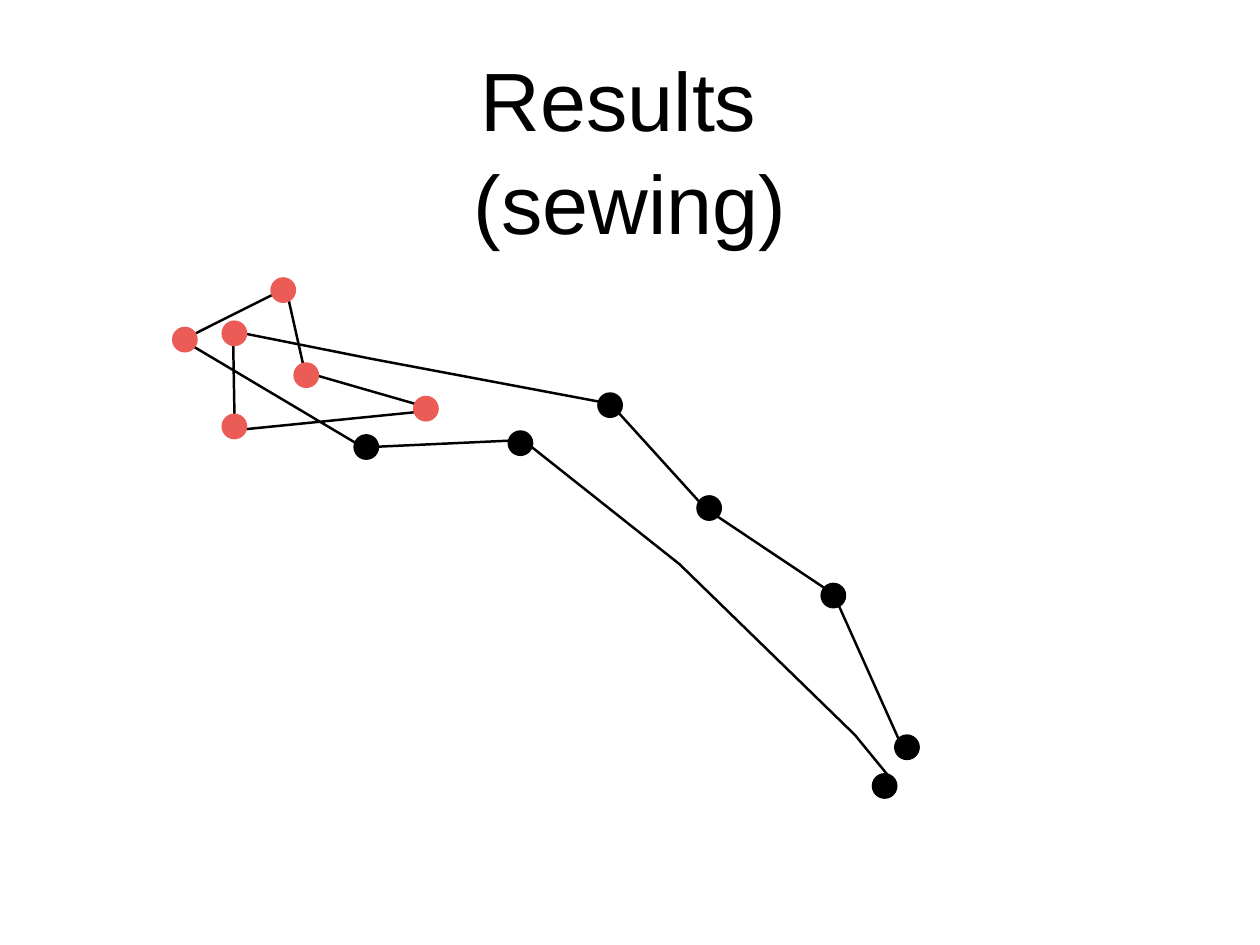
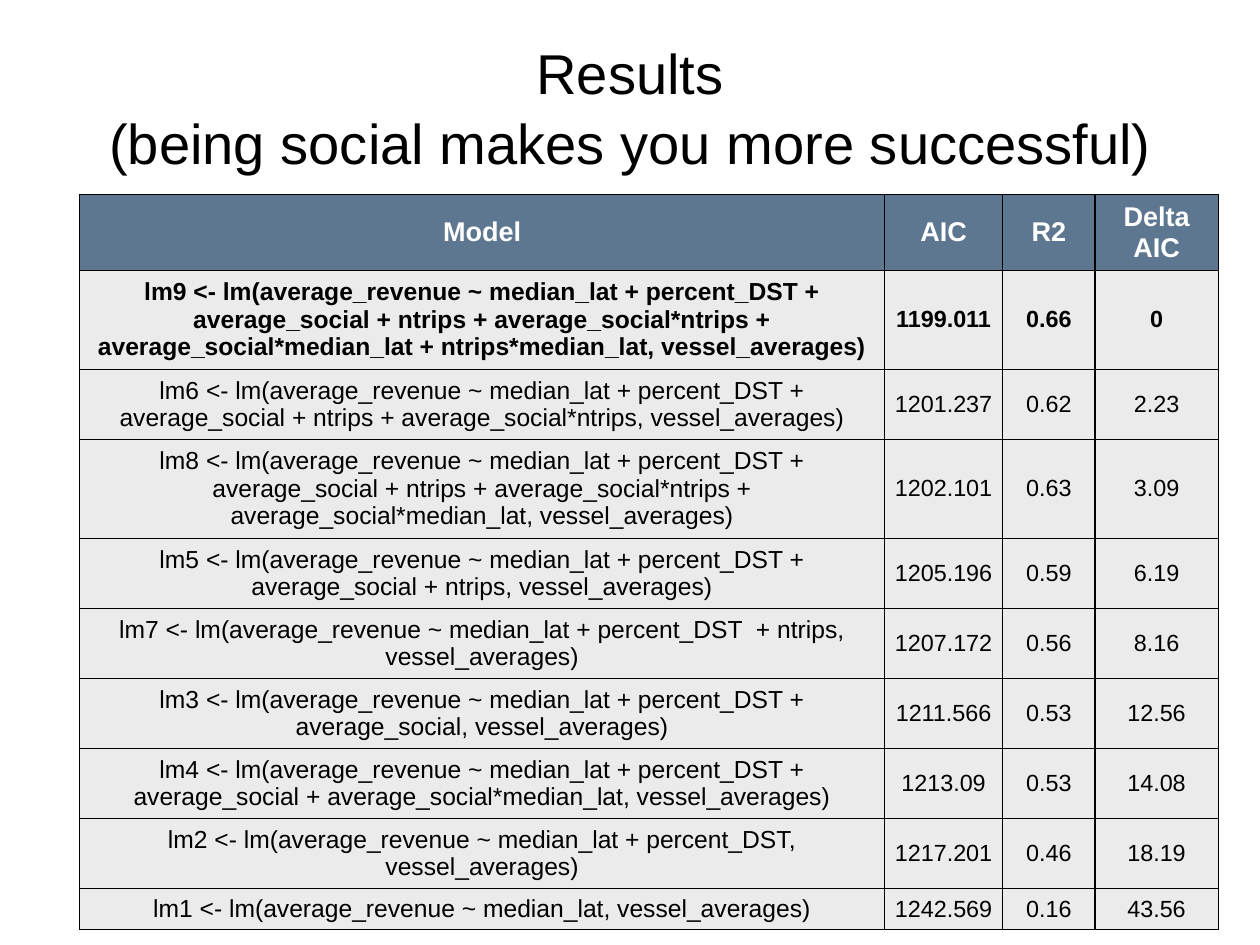
from lxml.etree import SubElement
from pptx import Presentation
from pptx.dml.color import RGBColor
from pptx.enum.shapes import MSO_SHAPE
from pptx.enum.text import MSO_ANCHOR, MSO_AUTO_SIZE, PP_ALIGN
from pptx.oxml.ns import qn
from pptx.util import Cm, Pt

# Shared look
BLACK = RGBColor(0x00, 0x00, 0x00)
WHITE = RGBColor(0xFF, 0xFF, 0xFF)
CORAL = RGBColor(0xEC, 0x5C, 0x57)
HEADER_BLUE = RGBColor(0x5E, 0x77, 0x90)
CELL_GREY = RGBColor(0xEB, 0xEB, 0xEB)
FONT = "Arial"
INSET = Cm(0.14)

# Slide 1 content: the thread and its stitches, in cm
SEWING_TITLE = "Results \n(sewing)"
THREAD = [
    (25.88, 21.46), (23.9, 17.04), (20.22, 14.58), (17.5, 11.58),
    (10.64, 10.29), (6.68, 9.5), (6.73, 12.34), (12.52, 11.76),
    (8.74, 10.67), (8.2, 8.26), (5.23, 9.75), (10.41, 12.83),
    (14.99, 12.62), (19.48, 16.18), (24.51, 21.08), (25.55, 22.35),
]
DOT_SIZE = 0.74
DOTS = {
    BLACK: [(23.52, 16.71), (19.96, 14.2), (17.12, 11.25), (10.13, 12.45),
            (14.55, 12.34), (24.99, 22.17), (25.63, 21.06)],
    CORAL: [(6.35, 9.19), (6.35, 11.86), (11.84, 11.35), (8.41, 10.39),
            (7.75, 7.95), (4.93, 9.37)],
}

# Slide 2 content: the best model comes first
SOCIAL_TITLE = "Results\n(being social makes you more successful)"
HEADINGS = ("Model", "AIC", "R2", "Delta AIC")
MODELS = [
    ("lm9 <- lm(average_revenue ~ median_lat + percent_DST + average_social + ntrips"
     " + average_social*ntrips + average_social*median_lat + ntrips*median_lat,"
     " vessel_averages)", "1199.011", "0.66", "0"),
    ("lm6 <- lm(average_revenue ~ median_lat + percent_DST + average_social + ntrips"
     " + average_social*ntrips, vessel_averages)", "1201.237", "0.62", "2.23"),
    ("lm8 <- lm(average_revenue ~ median_lat + percent_DST + average_social + ntrips"
     " + average_social*ntrips + average_social*median_lat, vessel_averages)",
     "1202.101", "0.63", "3.09"),
    ("lm5 <- lm(average_revenue ~ median_lat + percent_DST + average_social + ntrips,"
     " vessel_averages)", "1205.196", "0.59", "6.19"),
    ("lm7 <- lm(average_revenue ~ median_lat + percent_DST  + ntrips, vessel_averages)",
     "1207.172", "0.56", "8.16"),
    ("lm3 <- lm(average_revenue ~ median_lat + percent_DST + average_social,"
     " vessel_averages)", "1211.566", "0.53", "12.56"),
    ("lm4 <- lm(average_revenue ~ median_lat + percent_DST + average_social"
     " + average_social*median_lat, vessel_averages)", "1213.09", "0.53", "14.08"),
    ("lm2 <- lm(average_revenue ~ median_lat + percent_DST, vessel_averages)",
     "1217.201", "0.46", "18.19"),
    ("lm1 <- lm(average_revenue ~ median_lat, vessel_averages)",
     "1242.569", "0.16", "43.56"),
]
COLUMN_WIDTHS = (23.06, 3.4, 2.64, 3.53)
HEADER_HEIGHT = 2.16
HEIGHT_BY_LINES = {1: 1.17, 2: 2.01, 3: 2.84}
MODEL_LINES = (3, 2, 3, 2, 2, 2, 2, 2, 1)


def format_text(frame, size, color, bold=False):
    for para in frame.paragraphs:
        para.alignment = PP_ALIGN.CENTER
        for span in para.runs:
            span.font.name = FONT
            span.font.size = Pt(size)
            span.font.bold = bold
            span.font.color.rgb = color


def add_page(deck, title, top, size):
    page = deck.slides.add_slide(deck.slide_layouts[5])
    box = page.shapes.title
    box.left, box.top, box.width, box.height = Cm(2.64), Cm(top), Cm(30.84), Cm(5.99)
    frame = box.text_frame
    frame.text = title
    frame.word_wrap = True
    frame.auto_size = MSO_AUTO_SIZE.NONE
    frame.vertical_anchor = MSO_ANCHOR.MIDDLE
    frame.margin_left = frame.margin_right = INSET
    frame.margin_top = frame.margin_bottom = INSET
    format_text(frame, size, BLACK)
    for para in frame.paragraphs:
        para.line_spacing = 1.04
    return page


def add_thread(page):
    points = [(Cm(x), Cm(y)) for x, y in THREAD]
    builder = page.shapes.build_freeform(*points[0])
    builder.add_line_segments(points[1:], close=False)
    thread = builder.convert_to_shape()
    thread.shadow.inherit = False
    thread.fill.background()
    thread.line.color.rgb = BLACK
    thread.line.width = Pt(2)


def add_dot(page, left, top, color):
    dot = page.shapes.add_shape(
        MSO_SHAPE.OVAL, Cm(left), Cm(top), Cm(DOT_SIZE), Cm(DOT_SIZE))
    dot.shadow.inherit = False
    dot.fill.solid()
    dot.fill.fore_color.rgb = color
    dot.line.fill.background()


def fill_cell(cell, text, size, color, bold, background):
    cell.text = text
    cell.vertical_anchor = MSO_ANCHOR.MIDDLE
    cell.margin_left = cell.margin_right = INSET
    cell.margin_top = cell.margin_bottom = INSET
    format_text(cell.text_frame, size, color, bold)
    # Borders come before the fill in the cell properties
    properties = cell._tc.get_or_add_tcPr()
    for side in ("a:lnL", "a:lnR", "a:lnT", "a:lnB"):
        border = SubElement(properties, qn(side), w=str(Pt(1)))
        paint = SubElement(border, qn("a:solidFill"))
        SubElement(paint, qn("a:srgbClr"), val=str(BLACK))
    cell.fill.solid()
    cell.fill.fore_color.rgb = background


def add_model_table(page):
    heights = [HEADER_HEIGHT] + [HEIGHT_BY_LINES[count] for count in MODEL_LINES]
    rows = [HEADINGS] + MODELS
    table = page.shapes.add_table(
        len(rows), len(HEADINGS), Cm(2.29), Cm(5.59),
        Cm(sum(COLUMN_WIDTHS)), Cm(sum(heights))).table
    table.horz_banding = False
    for column, width in zip(table.columns, COLUMN_WIDTHS):
        column.width = Cm(width)
    for row_index, (values, height) in enumerate(zip(rows, heights)):
        table.rows[row_index].height = Cm(height)
        for column_index, value in enumerate(values):
            cell = table.cell(row_index, column_index)
            if row_index == 0:
                fill_cell(cell, value, 22, WHITE, True, HEADER_BLUE)
            else:
                size = 20 if column_index == 0 else 19
                fill_cell(cell, value, size, BLACK, row_index == 1, CELL_GREY)


deck = Presentation()
deck.slide_width, deck.slide_height = Cm(36.12), Cm(27.1)

# Slide 1: sewing
sewing = add_page(deck, SEWING_TITLE, 1.24, 67.2)
add_thread(sewing)
for color, corners in DOTS.items():
    for left, top in corners:
        add_dot(sewing, left, top, color)

# Slide 2: model comparison
social = add_page(deck, SOCIAL_TITLE, 0.05, 45.6)
add_model_table(social)

deck.save("out.pptx")
